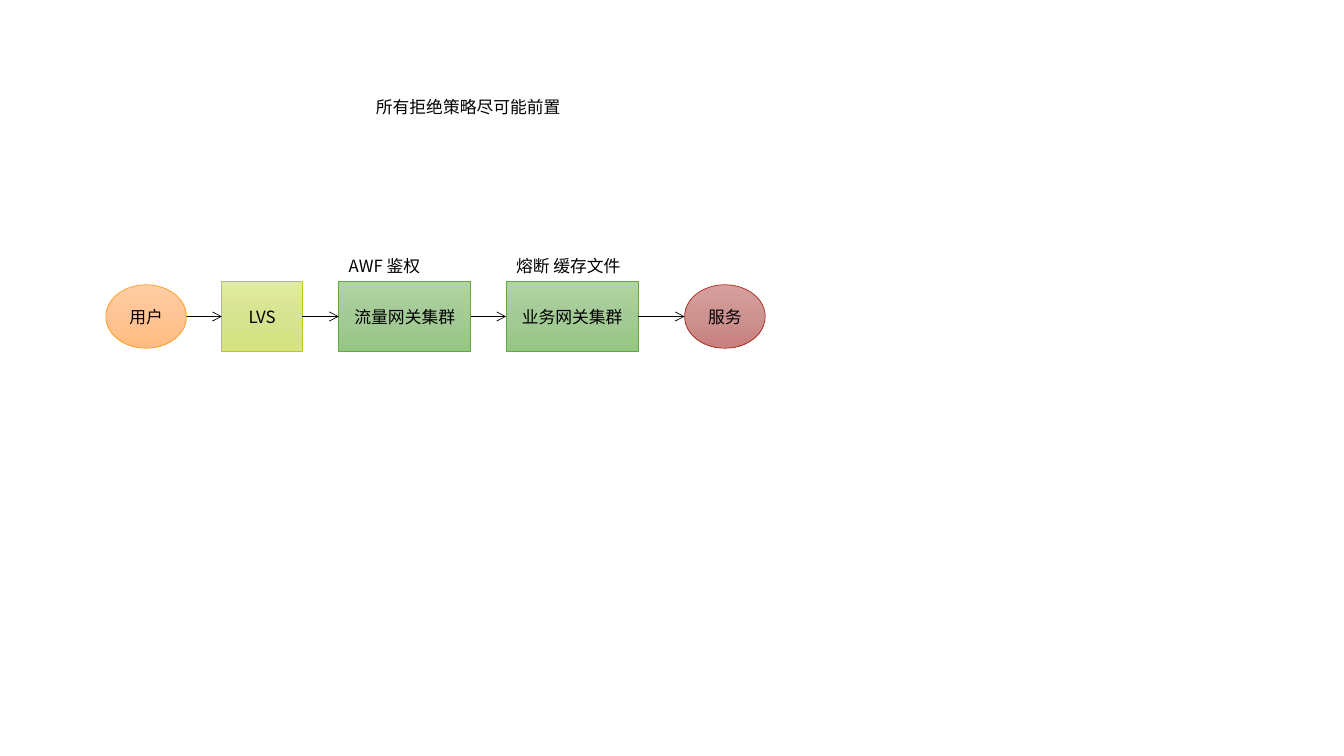
from copy import deepcopy

from lxml import etree
from pptx import Presentation
from pptx.dml.color import RGBColor
from pptx.enum.shapes import MSO_CONNECTOR, MSO_SHAPE
from pptx.enum.text import MSO_ANCHOR, MSO_AUTO_SIZE, PP_ALIGN
from pptx.oxml.ns import qn
from pptx.util import Inches, Pt

OVAL, RECT = MSO_SHAPE.OVAL, MSO_SHAPE.RECTANGLE
STRAIGHT = MSO_CONNECTOR.STRAIGHT
MIDDLE, CENTER, LEFT = MSO_ANCHOR.MIDDLE, PP_ALIGN.CENTER, PP_ALIGN.LEFT
GROW = MSO_AUTO_SIZE.SHAPE_TO_FIT_TEXT

FONT = "Noto Sans CJK SC"
BLACK = "000000"
AXIS = 3.14
LABEL_TOP = 2.49
LABEL_HEIGHT = 0.3
HEIGHTS = {OVAL: 0.63, RECT: 0.7}

ORANGE = ("FFCDA3", "FFC494", "FFBC81"), "FDA023"
LIME = ("E1ED9E", "D6E391", "D5E47C"), "B9CA1A"
GREEN = ("B0D4A3", "A4CA96", "95C683"), "64A73B"
RED = ("D7A09E", "CC9391", "C97F7D"), "AA2B1E"

NODES = [
    ("用户", OVAL, 1.05, 0.8, ORANGE, None),
    ("LVS", RECT, 2.2, 0.8, LIME, None),
    ("流量网关集群", RECT, 3.36, 1.31, GREEN, "AWF 鉴权"),
    ("业务网关集群", RECT, 5.02, 1.31, GREEN, "熔断 缓存文件"),
    ("服务", OVAL, 6.79, 0.8, RED, None),
]


def color(value):
    """Turn a hex string into a colour."""
    return RGBColor.from_string(value)


def set_format(target, values):
    """Set attributes of an object from a dict."""
    for name, value in values.items():
        setattr(target, name, value)


def write(tf, text, align):
    """Write one line of body text into a text frame."""
    p = tf.paragraphs[0]
    p.alignment = align
    r = p.add_run()
    r.text = text
    set_format(r.font, {"name": FONT, "size": Pt(12)})
    r.font.color.rgb = color(BLACK)
    etree.SubElement(r.font._element, qn("a:ea"), typeface=FONT)


def set_line(line, value):
    """Give a line its colour and the common width."""
    line.color.rgb = color(value)
    line.width = Pt(0.5)


def fill_gradient(sp, colors):
    """Fill a shape with three colours from top to bottom."""
    sp.fill.gradient()
    sp.fill.gradient_angle = 270
    stop_list = sp._element.spPr.find(".//" + qn("a:gsLst"))
    stop_list.insert(1, deepcopy(stop_list[0]))
    for i, (stop, value) in enumerate(zip(sp.fill.gradient_stops, colors)):
        stop.color.rgb = color(value)
        stop.position = i / 2


def add_node(s, text, kind, left, width, style):
    """Add a step of the flow, centred on the axis."""
    height = HEIGHTS[kind]
    sp = s.shapes.add_shape(kind, Inches(left), Inches(AXIS - height / 2),
                            Inches(width), Inches(height))
    sp.shadow.inherit = False
    colors, border = style
    fill_gradient(sp, colors)
    set_line(sp.line, border)
    set_format(sp.text_frame, {"word_wrap": True, "vertical_anchor": MIDDLE})
    write(sp.text_frame, text, CENTER)


def add_label(s, text, left, top, width):
    """Add a left-aligned text box."""
    sp = s.shapes.add_textbox(Inches(left), Inches(top),
                              Inches(width), Inches(LABEL_HEIGHT))
    set_format(sp.text_frame, {"word_wrap": True, "auto_size": GROW})
    write(sp.text_frame, text, LEFT)


def add_arrow(s, start, end):
    """Add an arrow along the axis."""
    sp = s.shapes.add_connector(STRAIGHT, Inches(start), Inches(AXIS),
                                Inches(end), Inches(AXIS))
    set_line(sp.line, BLACK)
    etree.SubElement(sp.line._get_or_add_ln(), qn("a:tailEnd"), type="arrow")
    etree.SubElement(sp._element.spPr, qn("a:effectLst"))


def main():
    """Build the gateway flow slide."""
    prs = Presentation()
    set_format(prs, {"slide_width": Inches(13.33), "slide_height": Inches(7.5)})
    s = prs.slides.add_slide(prs.slide_layouts[6])

    for text, kind, left, width, style, label in NODES:
        add_node(s, text, kind, left, width, style)
        if label:
            add_label(s, label, left, LABEL_TOP, width)
    for (_, _, left, width, _, _), following in zip(NODES, NODES[1:]):
        add_arrow(s, left + width, following[2])
    add_label(s, "所有拒绝策略尽可能前置", 3.63, 0.91, 3.07)

    prs.save("out.pptx")


if __name__ == "__main__":
    main()
